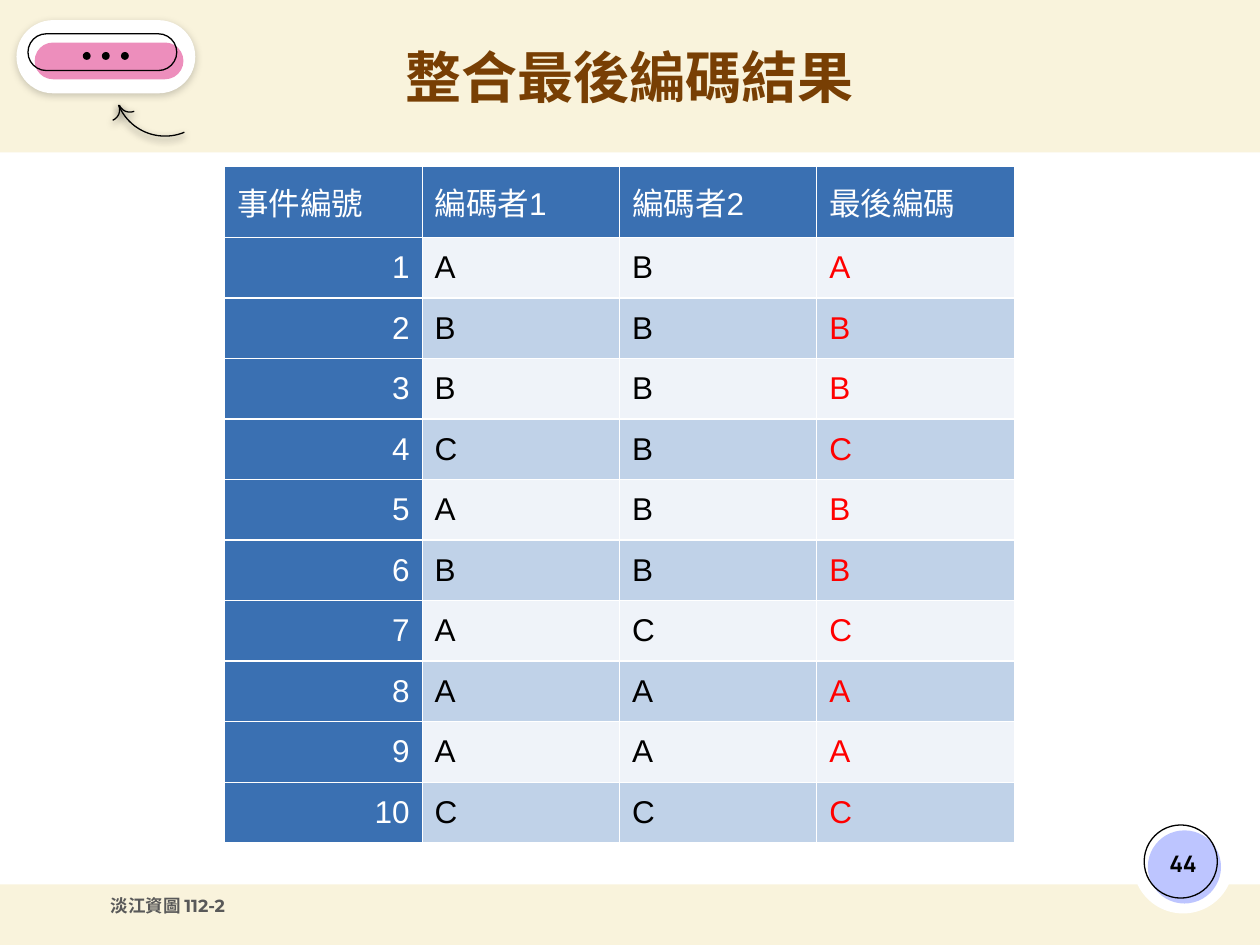
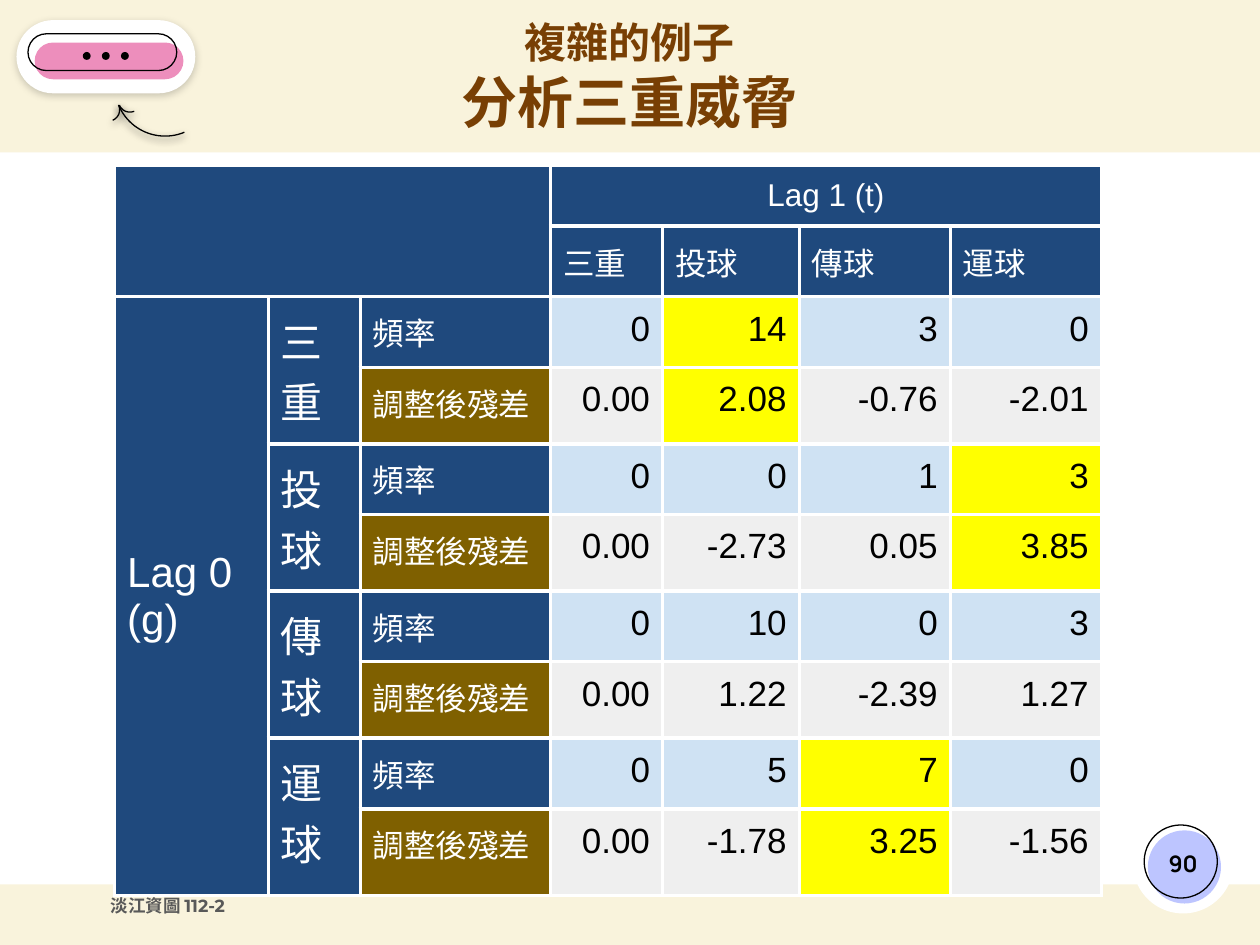
import pptx
import pptx.dml.color
import pptx.enum.shapes
import pptx.enum.text
import pptx.oxml
import pptx.oxml.ns
import pptx.util

Pt = pptx.util.Pt
SHAPE = pptx.enum.shapes.MSO_SHAPE
ALIGN = pptx.enum.text.PP_ALIGN
ANCHOR = pptx.enum.text.MSO_ANCHOR
NS = pptx.oxml.ns.nsdecls("a")

COLORS = {
    "cream": "F9F3DC", "white": "FFFFFF", "black": "000000", "red": "FF0000",
    "brown": "783F04", "gray": "595959", "lilac": "BDC5FF", "pink": "ED8EBC",
    "blue": "3A70B2", "pale": "EFF3F9", "band": "C0D2E8",
    "navy": "1F497D", "olive": "7F6000", "sky": "CFE2F3", "silver": "EFEFEF",
    "yellow": "FFFF00",
}
INSET = 7.2


def rgb(name):
    return pptx.dml.color.RGBColor.from_string(COLORS[name])


class Deck:
    def __init__(self):
        self.prs = pptx.Presentation()
        self.prs.slide_width, self.prs.slide_height = Pt(720), Pt(540)
        fill = self.prs.slide_master.background.fill
        fill.solid()
        fill.fore_color.rgb = rgb("cream")
        self.s = None

    def slide(self, title, number):
        """Start a slide with the shared decoration; title is (text, size) lines."""
        self.s = self.prs.slides.add_slide(self.prs.slide_layouts[5])
        self.text((56.2, 504, 310, 26.6), [("淡江資圖 112-2", 10)], "Montserrat", "gray")
        self.shape(SHAPE.RECTANGLE, (0, 87.1, 720, 418.3), "white")
        # Page number badge
        self.shape(SHAPE.OVAL, (647.3, 464.4, 57.6, 57.6), "white")
        self.shape(SHAPE.OVAL, (655.9, 474.5, 41.8, 41.8), "lilac")
        self.shape(SHAPE.OVAL, (653.8, 471.4, 41.8, 41.8))
        self.text((654.5, 473, 43.2, 41), [(number, 13)], "Manrope", "black",
                  ALIGN.CENTER, ANCHOR.MIDDLE)
        # Curved arrow
        for box, flip in (((65.5, 20.2, 57.6, 57.6), False),
                          ((67.7, 51.1, 13, 13), False),
                          ((55.4, 56.2, 13, 13), True)):
            sp = self.shape(SHAPE.ARC, box, shadow=68)
            sp.rotation = 157.5
            if flip:
                sp._element.spPr.xfrm.set("flipH", "1")
        # Pill with three dots
        self.pill((9.4, 11.5, 102.2, 41.8), "white", shadow=19)
        self.pill((19.8, 24.3, 85, 21), "pink")
        self.pill((16, 19.3, 85, 21))
        for i in range(3):
            self.shape(SHAPE.OVAL, (47.3 + 10.9 * i, 29.7, 4.5, 4.5), "black")
        # Title
        sp = self.s.shapes.title
        sp.left, sp.top, sp.width, sp.height = map(Pt, (111.6, 11.5, 496.8, 70.6))
        self.fill_frame(sp.text_frame, title, "Manrope", "brown", ALIGN.CENTER,
                        ANCHOR.MIDDLE)
        sp.text_frame.margin_top = 0

    def shape(self, kind, box, fill=None, shadow=None):
        """Filled shape, or a thin black outline when there is no fill."""
        sp = self.s.shapes.add_shape(kind, *map(Pt, box))
        sp.shadow.inherit = False
        if fill:
            sp.fill.solid()
            sp.fill.fore_color.rgb = rgb(fill)
            sp.line.fill.background()
        else:
            sp.fill.background()
            sp.line.color.rgb = rgb("black")
            sp.line.width = Pt(0.75)
        if shadow:
            effects = sp._element.spPr.find(pptx.oxml.ns.qn("a:effectLst"))
            effects.append(pptx.oxml.parse_xml(
                f'<a:outerShdw {NS} blurRad="{Pt(4.5)}" dist="{Pt(1.5)}" dir="5400000" '
                f'algn="bl" rotWithShape="0"><a:srgbClr val="{COLORS["black"]}">'
                f'<a:alpha val="{shadow * 1000}"/></a:srgbClr></a:outerShdw>'))
        return sp

    def pill(self, box, fill=None, shadow=None):
        self.shape(SHAPE.ROUNDED_RECTANGLE, box, fill, shadow).adjustments[0] = 0.5

    def text(self, box, lines, font, color, align=ALIGN.LEFT, anchor=ANCHOR.TOP):
        tf = self.s.shapes.add_textbox(*map(Pt, box)).text_frame
        self.fill_frame(tf, lines, font, color, align, anchor)

    def fill_frame(self, tf, lines, font, color, align, anchor):
        tf.word_wrap = True
        tf.auto_size = pptx.enum.text.MSO_AUTO_SIZE.NONE
        tf.vertical_anchor = anchor
        tf.margin_left = tf.margin_right = tf.margin_top = tf.margin_bottom = Pt(INSET)
        self.paragraphs(tf, lines, font, color, align, bold=True)

    def paragraphs(self, tf, lines, font, color, align, bold=False):
        for i, (line, size) in enumerate(lines):
            p = tf.add_paragraph() if i else tf.paragraphs[0]
            p.text = line
            p.alignment = align
            p.font.name, p.font.size, p.font.bold = font, Pt(size), bold
            p.font.color.rgb = rgb(color)

    def table(self, left, top, widths, heights, border):
        """Empty table with white borders on every cell."""
        frame = self.s.shapes.add_table(len(heights), len(widths), Pt(left), Pt(top),
                                        Pt(sum(widths)), Pt(sum(heights)))
        table = frame.table
        table.first_row = table.horz_banding = False
        for column, width in zip(table.columns, widths):
            column.width = Pt(width)
        for row, height in zip(table.rows, heights):
            row.height = Pt(height)
        for cell in table.iter_cells():
            tcPr = cell._tc.get_or_add_tcPr()
            for side in "LRTB":
                tcPr.append(pptx.oxml.parse_xml(
                    f'<a:ln{side} {NS} w="{Pt(border)}"><a:solidFill>'
                    f'<a:srgbClr val="{COLORS["white"]}"/></a:solidFill></a:ln{side}>'))
        return table

    def cell(self, cell, text, fill, color="white", size=18, align=ALIGN.LEFT,
             anchor=ANCHOR.TOP):
        cell.fill.solid()
        cell.fill.fore_color.rgb = rgb(fill)
        cell.vertical_anchor = anchor
        cell.margin_left = cell.margin_right = Pt(INSET)
        cell.margin_top = cell.margin_bottom = Pt(INSET)
        lines = [(line, size) for line in text.split("\n")]
        self.paragraphs(cell.text_frame, lines, "Arial", color, align)


def final_codes(deck):
    deck.slide([("整合最後編碼結果", 32)], "44")
    events = ["ABA", "BBB", "BBB", "CBC", "ABB", "BBB", "ACC", "AAA", "AAA", "CCC"]
    table = deck.table(128.4, 95.2, [112.8] * 4, [40.2] + [34.5] * len(events), 0.75)
    for col, head in enumerate(("事件編號", "編碼者1", "編碼者2", "最後編碼")):
        deck.cell(table.cell(0, col), head, "blue")
    for row, codes in enumerate(events, 1):
        deck.cell(table.cell(row, 0), str(row), "blue", align=ALIGN.RIGHT)
        for col, code in enumerate(codes, 1):
            deck.cell(table.cell(row, col), code, "pale" if row % 2 else "band",
                      "red" if col == 3 else "black")


def triple_threat(deck):
    deck.slide([("複雜的例子", 24), ("分析三重威脅", 32)], "90")
    actions = ["三重", "投球", "傳球", "運球"]
    frequencies = [[0, 14, 3, 0], [0, 0, 1, 3], [0, 10, 0, 3], [0, 5, 7, 0]]
    residuals = [[0, 2.08, -0.76, -2.01], [0, -2.73, 0.05, 3.85],
                 [0, 1.22, -2.39, 1.27], [0, -1.78, 3.25, -1.56]]
    significant = 1.96
    table = deck.table(65.5, 94.5, [87.8, 52.6, 108.7, 64.1, 78.1, 86.3, 86.3],
                       [34.5, 40] + [40.5, 43.5] * 3 + [40.5, 49.5], 2.25)

    # Merged headings
    table.cell(0, 0).merge(table.cell(1, 2))
    deck.cell(table.cell(0, 0), "", "navy")
    table.cell(0, 3).merge(table.cell(0, 6))
    deck.cell(table.cell(0, 3), "Lag 1 (t)", "navy", align=ALIGN.CENTER)
    table.cell(2, 0).merge(table.cell(9, 0))
    deck.cell(table.cell(2, 0), "Lag 0\n(g)", "navy", size=24, anchor=ANCHOR.MIDDLE)

    # One column and one pair of rows per action
    for i, action in enumerate(actions):
        deck.cell(table.cell(1, 3 + i), action, "navy")
        top = 2 + 2 * i
        table.cell(top, 1).merge(table.cell(top + 1, 1))
        deck.cell(table.cell(top, 1), action, "navy", size=24)
        deck.cell(table.cell(top, 2), "頻率", "navy")
        deck.cell(table.cell(top + 1, 2), "調整後殘差", "olive")
        for col, (count, residual) in enumerate(zip(frequencies[i], residuals[i]), 3):
            pair = ((str(count), "sky"), (f"{residual:.2f}", "silver"))
            for row, (value, fill) in enumerate(pair, top):
                deck.cell(table.cell(row, col), value,
                          "yellow" if residual > significant else fill,
                          "black", 20, ALIGN.RIGHT)


def main():
    deck = Deck()
    final_codes(deck)
    triple_threat(deck)
    deck.prs.save("out.pptx")


if __name__ == "__main__":
    main()
